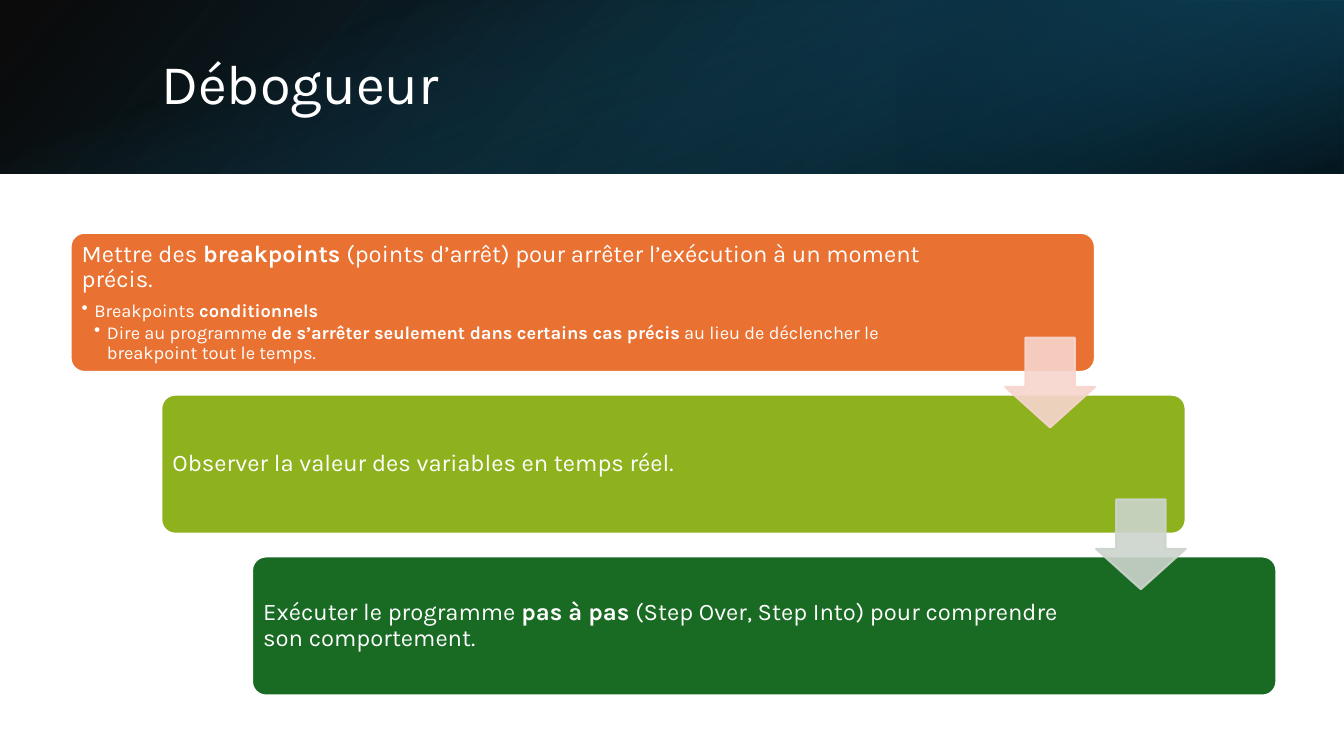
from lxml.etree import SubElement
from pptx import Presentation
from pptx.dml.color import RGBColor
from pptx.enum.shapes import MSO_SHAPE
from pptx.enum.text import MSO_ANCHOR, MSO_AUTO_SIZE, PP_ALIGN
from pptx.oxml.ns import qn
from pptx.util import Inches, Pt

FONT = "Karla"
WHITE = RGBColor(0xFF, 0xFF, 0xFF)
BLACK = RGBColor(0x00, 0x00, 0x00)
NAVY = RGBColor(0x10, 0x48, 0x62)
DEEP = RGBColor(0x0B, 0x30, 0x41)
TEAL = RGBColor(0x15, 0x60, 0x82)
ORANGE = RGBColor(0xE9, 0x71, 0x32)
LIME = RGBColor(0x8E, 0xB2, 0x1E)
GREEN = RGBColor(0x19, 0x6B, 0x24)
PINK = RGBColor(0xF7, 0xD5, 0xCE)
GREY = RGBColor(0xCC, 0xD4, 0xCD)

LEFT, TOP = 0.7, 2.31
STEP_X, STEP_Y = 0.9, 1.605
WIDTH, HEIGHT = 10.16, 1.38
ARROW = 0.89

STEPS = [
    (ORANGE, 8.67, [
        (0, "Mettre des *breakpoints* (points d’arrêt) pour arrêter l’exécution à un moment précis."),
        (1, "Breakpoints *conditionnels*"),
        (2, "Dire au programme *de s’arrêter seulement dans certains cas précis* au lieu de déclencher le breakpoint tout le temps."),
    ]),
    (LIME, 8.29, [(0, "Observer la valeur des variables en temps réel.")]),
    (GREEN, 8.29, [
        (0, "Exécuter le programme *pas à pas* (Step Over, Step Into) pour comprendre son comportement."),
    ]),
]


def add_form(slide, kind, box):
    shape = slide.shapes.add_shape(kind, *[Inches(v) for v in box])
    shape.shadow.inherit = False
    return shape


def set_alpha(shape, values):
    for color, value in zip(shape.element.spPr.iter(qn("a:srgbClr")), values):
        SubElement(color, qn("a:alpha")).set("val", str(value * 1000))


def add_band(slide, box, stops, angle, turn=0, flip=False):
    band = add_form(slide, MSO_SHAPE.RECTANGLE, box)
    band.rotation = turn
    if flip:
        band.element.spPr.find(qn("a:xfrm")).set("flipH", "1")
    band.line.fill.background()
    band.fill.gradient()
    band.fill.gradient_angle = 360 - angle
    for stop, (place, color, alpha) in zip(band.fill.gradient_stops, stops):
        stop.position = place / 100
        stop.color.rgb = color
    set_alpha(band, [alpha for place, color, alpha in stops])


def paint(shape, fill, line):
    shape.fill.solid()
    shape.fill.fore_color.rgb = fill
    shape.line.color.rgb = line
    shape.line.width = Pt(1.5)


def style_font(font, size):
    font.name = FONT
    font.size = Pt(size)
    font.color.rgb = WHITE


def set_title(slide, text):
    title = slide.shapes.title
    title.element.getparent().append(title.element)
    title.left, title.top = Inches(1.5), Inches(0.38)
    title.width, title.height = Inches(10.98), Inches(0.96)
    frame = title.text_frame
    frame.text = text
    frame.auto_size = MSO_AUTO_SIZE.NONE
    frame.vertical_anchor = MSO_ANCHOR.MIDDLE
    line = frame.paragraphs[0]
    line.alignment = PP_ALIGN.LEFT
    line.line_spacing = 0.9
    style_font(line.runs[0].font, 40)


def fill_line(line, level, text):
    line.line_spacing = 0.9
    line.space_after = Pt(2 if level else 6)
    if level:
        line.level = level
        props = line._p.get_or_add_pPr()
        props.set("marL", str(Inches(0.125 * level)))
        props.set("indent", str(Inches(-0.125)))
        SubElement(props, qn("a:buChar")).set("char", "•")
    for i, part in enumerate(text.split("*")):
        if part:
            run = line.add_run()
            run.text = part
            run.font.bold = i % 2 == 1
            style_font(run.font, 13 if level else 17)


def add_step(slide, x, y, color, width, lines):
    card = add_form(slide, MSO_SHAPE.ROUNDED_RECTANGLE, (x, y, WIDTH, HEIGHT))
    card.adjustments[0] = 0.1
    paint(card, color, WHITE)
    box = slide.shapes.add_textbox(
        Inches(x + 0.04), Inches(y + 0.04), Inches(width), Inches(1.3))
    frame = box.text_frame
    frame.word_wrap = True
    frame.vertical_anchor = MSO_ANCHOR.MIDDLE
    frame.margin_left = frame.margin_right = Inches(0.07)
    frame.margin_top = frame.margin_bottom = Inches(0.07)
    for i, (level, text) in enumerate(lines):
        line = frame.add_paragraph() if i else frame.paragraphs[0]
        fill_line(line, level, text)


def add_arrow(slide, x, y, color):
    arrow = add_form(slide, MSO_SHAPE.DOWN_ARROW, (x, y, ARROW, ARROW))
    arrow.adjustments[0] = 0.55
    arrow.adjustments[1] = 0.45
    paint(arrow, color, color)
    set_alpha(arrow, [90, 90])


def main():
    deck = Presentation()
    deck.slide_width, deck.slide_height = Inches(13.33), Inches(7.5)
    slide = deck.slides.add_slide(deck.slide_layouts[5])
    add_band(slide, (0, 0, 13.33, 1.72),
             [(0, BLACK, 96), (100, NAVY, 100)], 140, flip=True)
    add_band(slide, (8.89, 0, 4.44, 1.72),
             [(19, DEEP, 68), (100, TEAL, 79)], 320, turn=180, flip=True)
    add_band(slide, (5.8, -5.8, 1.72, 13.33),
             [(23, TEAL, 0), (99, BLACK, 74)], 340, turn=90)
    set_title(slide, "Débogueur")
    for i, step in enumerate(STEPS):
        add_step(slide, LEFT + i * STEP_X, TOP + i * STEP_Y, *step)
    for i, color in enumerate([PINK, GREY]):
        add_arrow(slide, 9.97 + i * STEP_X, 3.35 + i * STEP_Y, color)
    deck.save("out.pptx")


if __name__ == "__main__":
    main()
